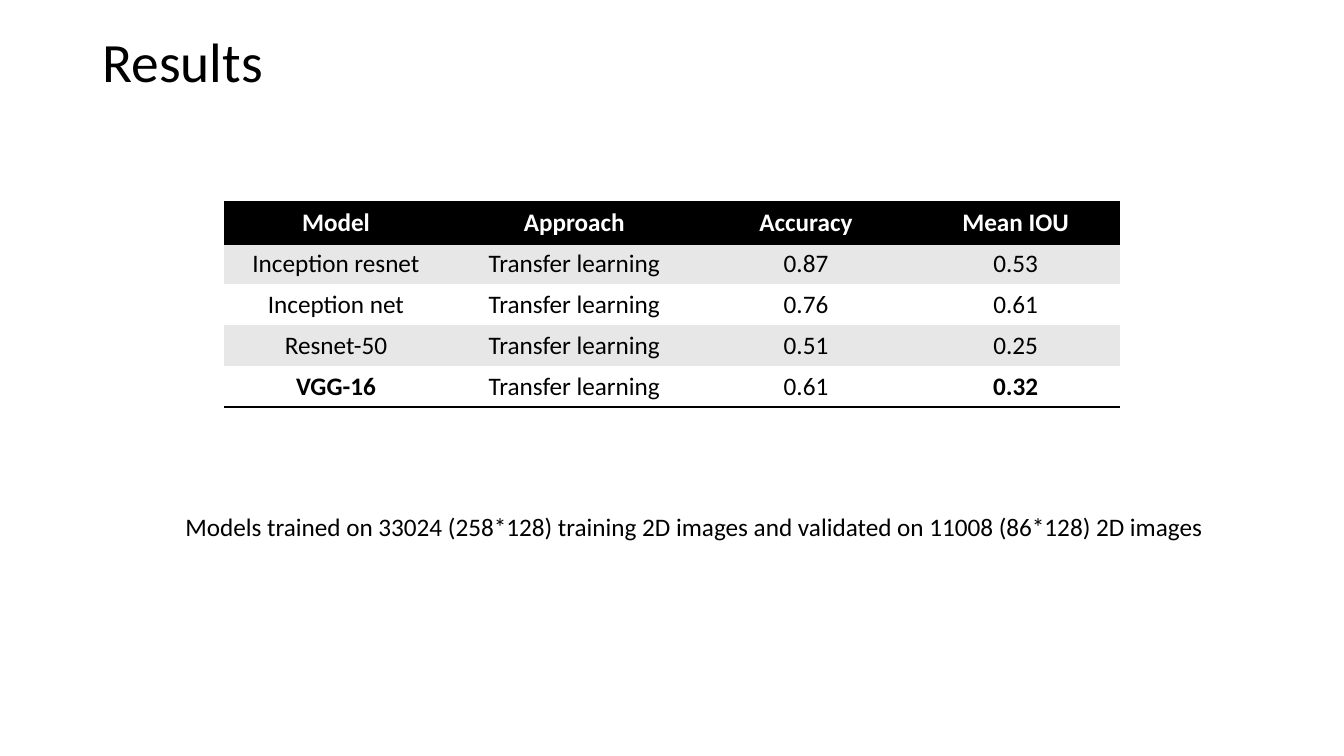
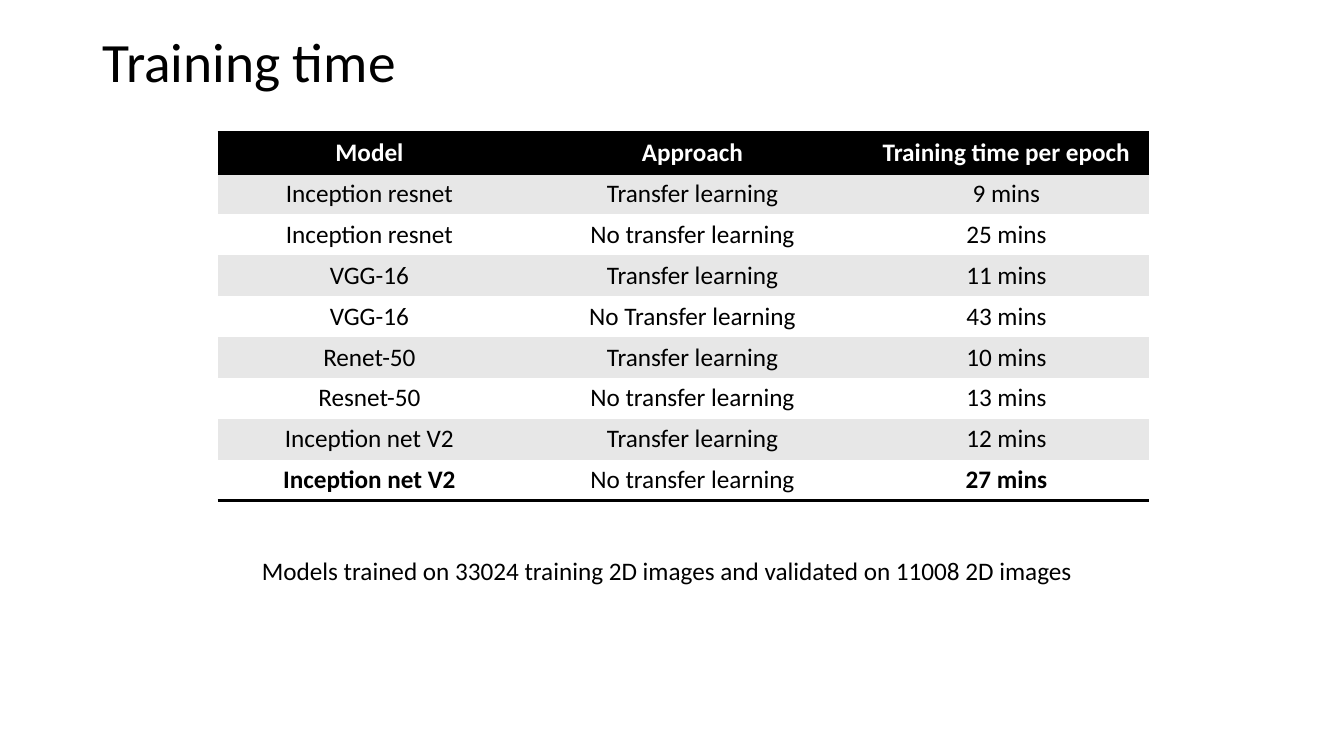
from lxml.etree import SubElement
from pptx import Presentation
from pptx.dml.color import RGBColor
from pptx.enum.text import MSO_ANCHOR, MSO_AUTO_SIZE, PP_ALIGN
from pptx.oxml.ns import qn
from pptx.util import Pt

BLACK = RGBColor(0x00, 0x00, 0x00)
WHITE = RGBColor(0xFF, 0xFF, 0xFF)
BAND_GREY = RGBColor(0xE7, 0xE7, 0xE7)
PLAIN_TABLE_STYLE = "{2D5ABB26-0587-4C30-8999-92F81FD0307C}"


class Deck:
    """Holds the shared style and the current slide."""

    font = "Calibri"
    title_size = 39.6
    text_size = 18
    row_height = 29.2
    rule_width = 2

    def __init__(self):
        """Start a widescreen presentation."""
        self.presentation = Presentation()
        self.presentation.slide_width = Pt(960)
        self.presentation.slide_height = Pt(540)
        self.slide = None

    def add_run(self, paragraph, text, size, color=BLACK, bold=False):
        """Add one formatted run to a paragraph."""
        run = paragraph.add_run()
        run.text = text
        run.font.name = self.font
        run.font.size = Pt(size)
        run.font.bold = bold
        run.font.color.rgb = color

    def add_slide(self, title):
        """Add a slide with its title; it becomes the current slide."""
        layout = self.presentation.slide_layouts.get_by_name("Title Only")
        self.slide = self.presentation.slides.add_slide(layout)
        shape = self.slide.shapes.title
        shape.left, shape.top = Pt(66), Pt(28.75)
        shape.width, shape.height = Pt(828), Pt(34.5)
        frame = shape.text_frame
        frame.auto_size = MSO_AUTO_SIZE.NONE
        frame.vertical_anchor = MSO_ANCHOR.MIDDLE
        paragraph = frame.paragraphs[0]
        paragraph.alignment = PP_ALIGN.LEFT
        paragraph.line_spacing = 0.9
        self.add_run(paragraph, title, self.title_size)

    def add_rule(self, cell, edge):
        """Draw a black border on one edge of a cell (lnT or lnB)."""
        properties = cell._tc.get_or_add_tcPr()
        line = SubElement(properties, qn(f"a:{edge}"), w=str(Pt(self.rule_width)))
        fill = SubElement(line, qn("a:solidFill"))
        SubElement(fill, qn("a:srgbClr"), val=str(BLACK))

    def add_table(self, left, top, widths, rows):
        """Add a banded table with a black header and a bold last result."""
        frame = self.slide.shapes.add_table(
            len(rows), len(widths), Pt(left), Pt(top),
            Pt(sum(widths)), Pt(self.row_height * len(rows)))
        table = frame.table
        table.first_row = table.horz_banding = False
        table._tbl.tblPr.find(qn("a:tableStyleId")).text = PLAIN_TABLE_STYLE
        for column, width in zip(table.columns, widths):
            column.width = Pt(width)
        last_row, last_column = len(rows) - 1, len(widths) - 1
        for row_index, row in enumerate(rows):
            table.rows[row_index].height = Pt(self.row_height)
            header = row_index == 0
            band = BLACK if header else BAND_GREY if row_index % 2 else WHITE
            for column_index, text in enumerate(row):
                cell = table.cell(row_index, column_index)
                if header:
                    self.add_rule(cell, "lnT")
                if row_index in (0, last_row):
                    self.add_rule(cell, "lnB")
                cell.fill.solid()
                cell.fill.fore_color.rgb = band
                paragraph = cell.text_frame.paragraphs[0]
                paragraph.alignment = PP_ALIGN.CENTER
                best = row_index == last_row and column_index in (0, last_column)
                self.add_run(paragraph, text, self.text_size,
                             WHITE if header else BLACK, header or best)

    def add_caption(self, left, top, width, text):
        """Add a one-line caption."""
        shape = self.slide.shapes.add_textbox(Pt(left), Pt(top), Pt(width), Pt(29))
        frame = shape.text_frame
        frame.word_wrap = False
        frame.auto_size = MSO_AUTO_SIZE.SHAPE_TO_FIT_TEXT
        self.add_run(frame.paragraphs[0], text, self.text_size)


def build_results(deck):
    """Build the slide with the accuracy of each model."""
    deck.add_slide("Results")
    deck.add_table(160, 144.75, [160, 180.5, 150.5, 149], [
        ("Model", "Approach", "Accuracy", "Mean IOU"),
        ("Inception resnet", "Transfer learning", "0.87", "0.53"),
        ("Inception net", "Transfer learning", "0.76", "0.61"),
        ("Resnet-50", "Transfer learning", "0.51", "0.25"),
        ("VGG-16", "Transfer learning", "0.61", "0.32"),
    ])
    deck.add_caption(125.3, 361.5, 750, "Models trained on 33024 (258*128) training 2D "
                     "images and validated on 11008 (86*128) 2D images")


def build_training_time(deck):
    """Build the slide with the training time of each model."""
    deck.add_slide("Training time")
    deck.add_table(155.5, 94.75, [216.75, 244.75, 203.75], [
        ("Model", "Approach", "Training time per epoch"),
        ("Inception resnet", "Transfer learning", "9 mins"),
        ("Inception resnet", "No transfer learning", "25 mins"),
        ("VGG-16", "Transfer learning", "11 mins"),
        ("VGG-16", "No Transfer learning", "43 mins"),
        ("Renet-50", "Transfer learning", "10 mins"),
        ("Resnet-50", "No transfer learning", "13 mins"),
        ("Inception net V2", "Transfer learning", "12 mins"),
        ("Inception net V2", "No transfer learning", "27 mins"),
    ])
    deck.add_caption(180, 393, 600.5, "Models trained on 33024 training 2D images "
                     "and validated on 11008 2D images")


deck = Deck()
build_results(deck)
build_training_time(deck)
deck.presentation.save("out.pptx")
